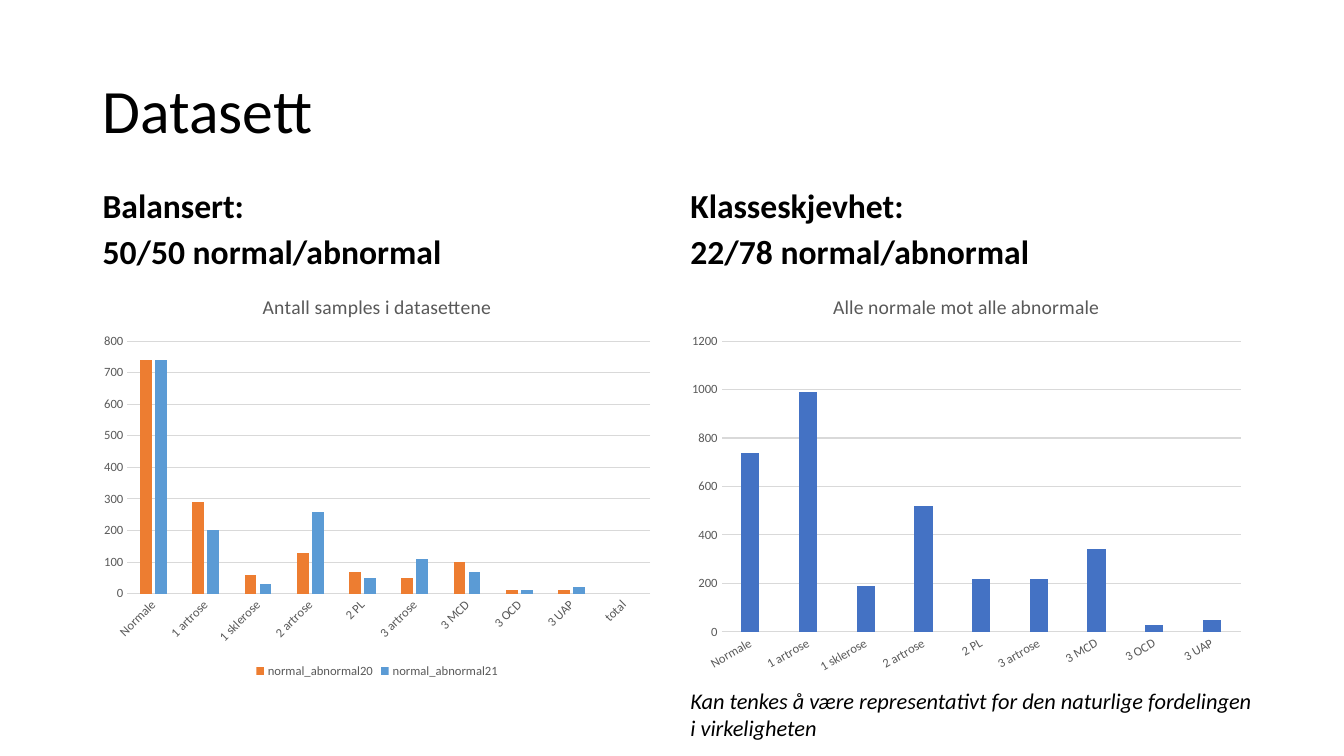
from pptx import Presentation
from pptx import util as u
from pptx.chart.data import CategoryChartData
from pptx.dml.color import RGBColor
from pptx.enum import chart as ch, text

BLACK, GREY, GRID = "000000", "595959", "D9D9D9"
ORANGE, LIGHT_BLUE, BLUE = "ED7D31", "5B9BD5", "4472C4"


def rgb(value):
    return RGBColor.from_string(value)


def style(font, size, color=BLACK, bold=False, italic=False):
    font.name, font.size = "Calibri", u.Pt(size)
    font.bold, font.italic = bold, italic
    font.color.rgb = rgb(color)


def write(tf, lines, spacing=1.0, before=0, **fmt):
    for i, line in enumerate(lines):
        p = tf.paragraphs[0] if i == 0 else tf.add_paragraph()
        p.line_spacing = spacing
        p.space_before = u.Pt(before if i else 0)
        r = p.add_run()
        r.text = line
        style(r.font, **fmt)


class Deck:
    PX = 9144  # 100 px to the inch

    def __init__(self, width, height):
        self.prs = Presentation()
        self.prs.slide_width, self.prs.slide_height = self.box(width, height)
        self.s = self.prs.slides.add_slide(self.prs.slide_layouts[6])

    def box(self, *lengths):
        return [u.Emu(n * self.PX) for n in lengths]

    def text(self, at, lines, anchor=text.MSO_ANCHOR.TOP, grow=False, **fmt):
        tf = self.s.shapes.add_textbox(*self.box(*at)).text_frame
        tf.word_wrap = True
        tf.vertical_anchor = anchor
        if grow:
            tf.auto_size = text.MSO_AUTO_SIZE.SHAPE_TO_FIT_TEXT
        write(tf, lines, **fmt)

    def columns(self, at, title, cats, series, top, step, angle, legend=False):
        data = CategoryChartData()
        data.categories = cats
        for name, values, _ in series:
            data.add_series(name, values)
        chart = self.s.shapes.add_chart(
            ch.XL_CHART_TYPE.COLUMN_CLUSTERED, *self.box(*at), data).chart
        style(chart.font, 10)
        chart.has_title = True
        write(chart.chart_title.text_frame, [title], size=14, color=GREY)
        chart.chart_title.include_in_layout = False

        # Columns
        plot = chart.plots[0]
        plot.gap_width, plot.overlap, plot.vary_by_categories = 219, -27, False
        for ser, (_, _, color) in zip(plot.series, series):
            ser.format.fill.solid()
            ser.format.fill.fore_color.rgb = rgb(color)

        # Axes
        cat, val = chart.category_axis, chart.value_axis
        for axis in (cat, val):
            axis.major_tick_mark = axis.minor_tick_mark = ch.XL_TICK_MARK.NONE
            style(axis.tick_labels.font, 9, GREY)
        val.minimum_scale, val.maximum_scale, val.major_unit = 0, top, step
        val.format.line.fill.background()
        for line in (cat.format.line, val.major_gridlines.format.line):
            line.color.rgb = rgb(GRID)
            line.width = u.Pt(0.75)
        for body in cat._element.xpath("c:txPr/a:bodyPr"):
            body.set("rot", str(-angle * 60000))

        # Legend
        chart.has_legend = legend
        if legend:
            chart.legend.position = ch.XL_LEGEND_POSITION.BOTTOM
            chart.legend.include_in_layout = False
            style(chart.legend.font, 9, GREY)


def main():
    deck = Deck(1333, 750)
    left, right = 92, 675
    classes = ["Normale", "1 artrose", "1 sklerose", "2 artrose", "2 PL",
               "3 artrose", "3 MCD", "3 OCD", "3 UAP"]

    # Title and column headings
    deck.text((left, 40, 1150, 145), ["Datasett"], text.MSO_ANCHOR.MIDDLE,
              spacing=0.9, size=44)
    for x, w, heading, share in ((left, 564, "Balansert:", "50/50"),
                                 (right, 567, "Klasseskjevhet:", "22/78")):
        deck.text((x, 184, w, 90), [heading, f"{share} normal/abnormal"],
                  text.MSO_ANCHOR.BOTTOM, spacing=0.8, before=10,
                  size=24, bold=True)

    # Balanced data sets
    deck.columns(
        (left, 274, 564, 403), "Antall samples i datasettene",
        classes + ["total"],
        [("normal_abnormal20",
          [740, 290, 60, 130, 70, 50, 100, 10, 10, None], ORANGE),
         ("normal_abnormal21",
          [740, 200, 30, 260, 50, 110, 70, 10, 20, None], LIGHT_BLUE)],
        top=800, step=100, angle=45, legend=True)

    # Skewed data set
    deck.columns(
        (right, 274, 567, 403), "Alle normale mot alle abnormale", classes,
        [("Series 1", [740, 990, 190, 520, 220, 220, 340, 30, 50], BLUE)],
        top=1200, step=200, angle=30)
    deck.text((right, 677, 586, 64),
              ["Kan tenkes å være representativt for den naturlige "
               "fordelingen i virkeligheten"],
              grow=True, size=16, italic=True)

    deck.prs.save("out.pptx")


if __name__ == "__main__":
    main()
